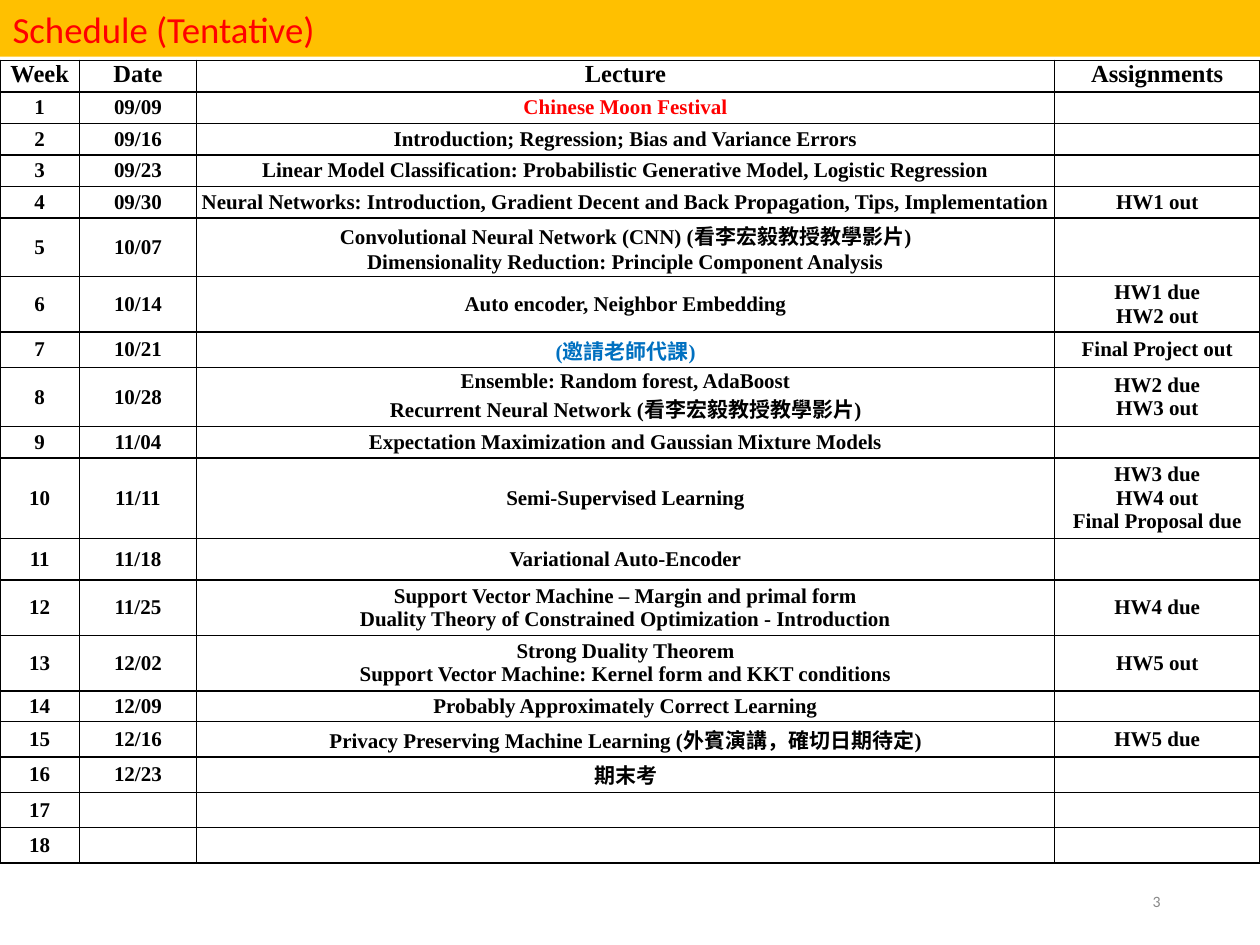
from lxml.etree import SubElement
from pptx import Presentation
from pptx.dml.color import RGBColor
from pptx.enum.text import MSO_ANCHOR as Anchor, MSO_AUTO_SIZE as AutoSize, PP_ALIGN as Align
from pptx.oxml.ns import qn
from pptx.util import Inches, Pt

BLACK = RGBColor(0x00, 0x00, 0x00)
RED = RGBColor(0xFF, 0x00, 0x00)
BLUE = RGBColor(0x00, 0x70, 0xC0)
GOLD = RGBColor(0xFF, 0xC0, 0x00)
GRAY = RGBColor(0x88, 0x88, 0x88)

TITLE = "Schedule (Tentative)"
PAGE = "3"
HEADINGS = ("Week", "Date", "Lecture", "Assignments")
WEEKS = [
    ("09/09", "Chinese Moon Festival", ""),
    ("09/16", "Introduction; Regression; Bias and Variance Errors", ""),
    ("09/23", "Linear Model Classification: Probabilistic Generative Model, Logistic Regression", ""),
    ("09/30", "Neural Networks: Introduction, Gradient Decent and Back Propagation, Tips, Implementation", "HW1 out"),
    ("10/07", "Convolutional Neural Network (CNN) (看李宏毅教授教學影片)\n"
              "Dimensionality Reduction: Principle Component Analysis", ""),
    ("10/14", "Auto encoder, Neighbor Embedding", "HW1 due\nHW2 out"),
    ("10/21", "(邀請老師代課)", "Final Project out"),
    ("10/28", "Ensemble: Random forest, AdaBoost\n"
              "Recurrent Neural Network (看李宏毅教授教學影片)", "HW2 due\nHW3 out"),
    ("11/04", "Expectation Maximization and Gaussian Mixture Models", ""),
    ("11/11", "Semi-Supervised Learning", "HW3 due\vHW4 out\nFinal Proposal due"),
    ("11/18", "Variational Auto-Encoder", ""),
    ("11/25", "Support Vector Machine – Margin and primal form\v"
              "Duality Theory of Constrained Optimization - Introduction", "HW4 due"),
    ("12/02", "Strong Duality Theorem\n"
              "Support Vector Machine: Kernel form and KKT conditions", "HW5 out"),
    ("12/09", "Probably Approximately Correct Learning", ""),
    ("12/16", "Privacy Preserving Machine Learning (外賓演講，確切日期待定)", "HW5 due"),
    ("12/23", "期末考", ""),
    ("", "", ""),
    ("", "", ""),
]
LECTURE_COLORS = {1: RED, 7: BLUE}
COLUMN_WIDTHS = (0.63, 0.93, 6.81, 1.63)
LINE_COUNT_HEIGHTS = {1: 0.25, 2: 0.44, 3: 0.64}
SPECIAL_HEIGHTS = {11: 0.33, 14: 0.24, 17: 0.28, 18: 0.28}


def add_text(paragraph, text, size, color, font, bold=False):
    for index, line in enumerate(text.split("\v")):
        if index:
            paragraph.add_line_break()
        run = paragraph.add_run()
        run.text = line
        run.font.size = Pt(size)
        run.font.name = font
        run.font.bold = bold
        run.font.color.rgb = color


def add_borders(cell):
    properties = cell._tc.get_or_add_tcPr()
    for position, side in enumerate(("a:lnL", "a:lnR", "a:lnT", "a:lnB")):
        border = SubElement(properties, qn(side), w=str(Pt(1)))
        fill = SubElement(border, qn("a:solidFill"))
        SubElement(fill, qn("a:srgbClr"), val=str(BLACK))
        properties.insert(position, border)


def fill_cell(cell, text, size, color, anchor, margins):
    cell.fill.background()
    add_borders(cell)
    cell.vertical_anchor = anchor
    cell.margin_left = cell.margin_right = Inches(margins[0])
    cell.margin_top = cell.margin_bottom = Inches(margins[1])
    frame = cell.text_frame
    for index, line in enumerate(text.split("\n")):
        paragraph = frame.add_paragraph() if index else frame.paragraphs[0]
        paragraph.alignment = Align.CENTER
        if line:
            add_text(paragraph, line, size, color, "Times New Roman", True)
        else:
            SubElement(paragraph._p, qn("a:endParaRPr"), sz=str(size * 100))


def row_height(week, texts):
    lines = max(len(text.replace("\v", "\n").split("\n")) for text in texts)
    return SPECIAL_HEIGHTS.get(week, LINE_COUNT_HEIGHTS[lines])


def add_schedule(slide):
    rows = [HEADINGS] + [(str(week), *texts) for week, texts in enumerate(WEEKS, 1)]
    heights = [row_height(week, texts) for week, texts in enumerate(rows)]
    schedule = slide.shapes.add_table(
        len(rows), len(HEADINGS), 0, Inches(0.48),
        Inches(sum(COLUMN_WIDTHS)), Inches(sum(heights))).table
    for column, width in zip(schedule.columns, COLUMN_WIDTHS):
        column.width = Inches(width)
    for week, texts in enumerate(rows):
        schedule.rows[week].height = Inches(heights[week])
        for column, text in enumerate(texts):
            heading = week == 0
            color = LECTURE_COLORS.get(week, BLACK) if column == 2 else BLACK
            fill_cell(schedule.cell(week, column), text, 14 if heading else 12, color,
                      Anchor.TOP if heading else Anchor.MIDDLE,
                      (0.06, 0) if heading or column == 0 else (0.03, 0.02))


def main():
    deck = Presentation()
    deck.slide_width, deck.slide_height = Inches(10), Inches(7.5)
    slide = deck.slides.add_slide(deck.slide_layouts[5])

    title = slide.shapes.title
    title.left, title.top = 0, 0
    title.width, title.height = deck.slide_width, Inches(0.45)
    title.fill.solid()
    title.fill.fore_color.rgb = GOLD
    title.text_frame.auto_size = AutoSize.NONE
    title.text_frame.vertical_anchor = Anchor.MIDDLE
    title.text_frame.paragraphs[0].alignment = Align.LEFT
    add_text(title.text_frame.paragraphs[0], TITLE, 21, RED, "Calibri")

    add_schedule(slide)

    page = slide.shapes.add_textbox(Inches(7.06), Inches(6.95), Inches(2.25), Inches(0.4))
    page.text_frame.word_wrap = True
    page.text_frame.vertical_anchor = Anchor.MIDDLE
    page.text_frame.paragraphs[0].alignment = Align.RIGHT
    add_text(page.text_frame.paragraphs[0], PAGE, 9, GRAY, "Calibri")

    deck.save("out.pptx")


if __name__ == "__main__":
    main()
